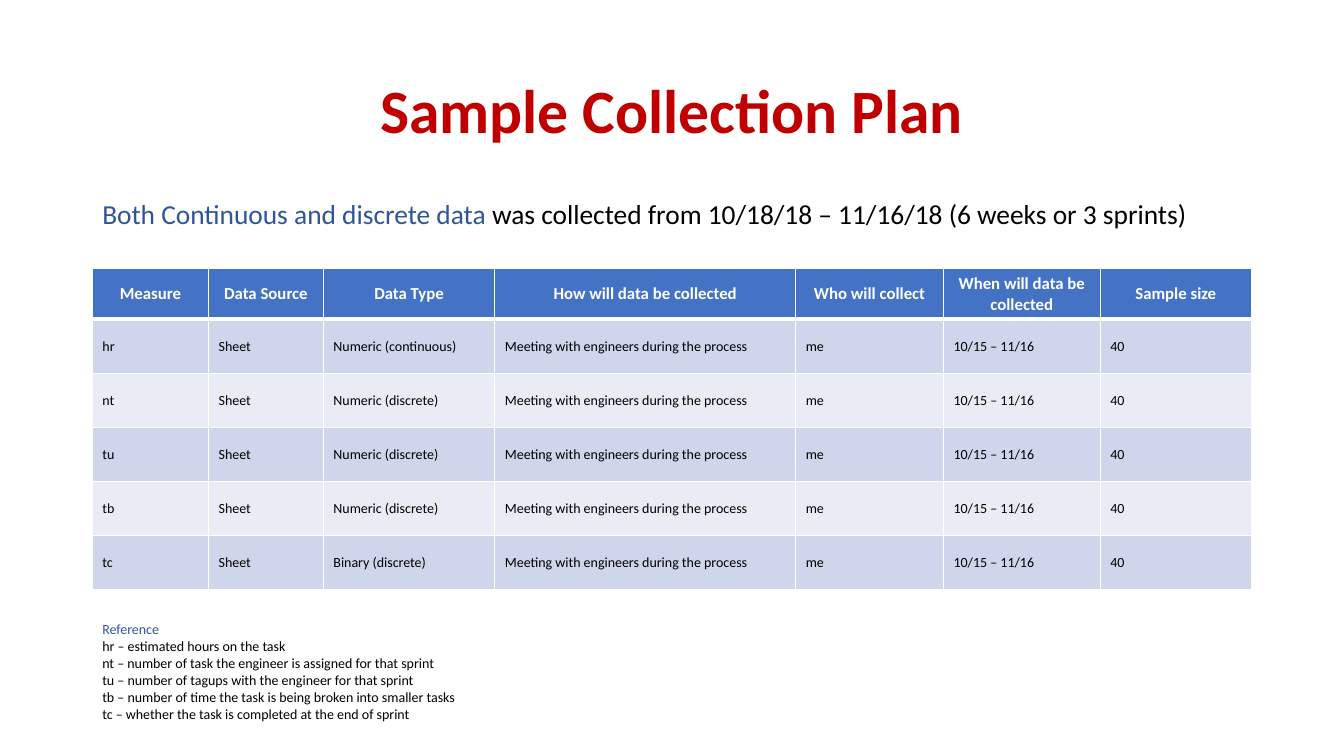
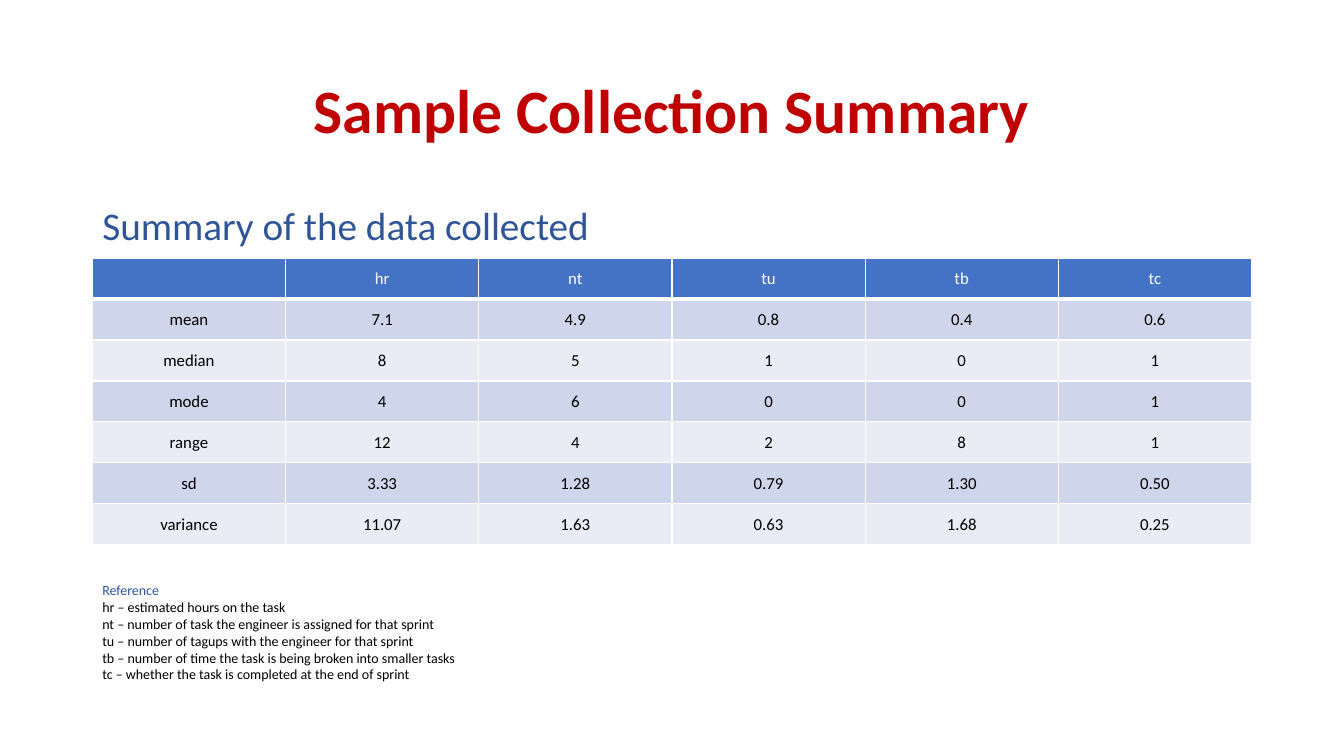
from dataclasses import dataclass

from lxml.etree import SubElement
from pptx import Presentation
from pptx.dml.color import RGBColor
from pptx.enum.text import MSO_ANCHOR as Anchor, PP_ALIGN as Align
from pptx.oxml.ns import qn
from pptx.util import Pt


@dataclass(frozen=True)
class Theme:
    font: str = "Calibri"
    title: str = "C00000"
    accent: str = "2F5597"
    ink: str = "000000"
    white: str = "FFFFFF"
    header: str = "4472C4"
    bands: tuple[str, str] = ("CFD5EA", "E9EBF5")
    title_size: float = 44
    header_size: float = 12
    small_size: float = 10
    border: float = 1
    header_border: float = 3


@dataclass(frozen=True)
class Lead:
    accent: str
    rest: str
    size: float
    spacing: float


@dataclass(frozen=True)
class TableSpec:
    top: float
    widths: list[float]
    header_height: float
    row_height: float
    rows: list[list[str]]
    header_bold: bool
    body_size: float
    body_align: Align
    margins: tuple[float, float, float, float]


@dataclass(frozen=True)
class SlideSpec:
    title: str
    lead: Lead
    table: TableSpec
    reference_top: float


THEME = Theme()
LEFT, WIDTH = 66, 828
MEASURES = {
    "hr": "estimated hours on the task",
    "nt": "number of task the engineer is assigned for that sprint",
    "tu": "number of tagups with the engineer for that sprint",
    "tb": "number of time the task is being broken into smaller tasks",
    "tc": "whether the task is completed at the end of sprint",
}
DATA_TYPES = ["Numeric (continuous)"] + ["Numeric (discrete)"] * 3 + ["Binary (discrete)"]

PLAN_ROWS = [
    ["Measure", "Data Source", "Data Type", "How will data be collected",
     "Who will collect", "When will data be collected", "Sample size"],
    *([code, "Sheet", data_type, "Meeting with engineers during the process",
       "me", "10/15 – 11/16", "40"]
      for code, data_type in zip(MEASURES, DATA_TYPES)),
]
SUMMARY_ROWS = [
    ["", *MEASURES],
    ["mean", "7.1", "4.9", "0.8", "0.4", "0.6"],
    ["median", "8", "5", "1", "0", "1"],
    ["mode", "4", "6", "0", "0", "1"],
    ["range", "12", "4", "2", "8", "1"],
    ["sd", "3.33", "1.28", "0.79", "1.30", "0.50"],
    ["variance", "11.07", "1.63", "0.63", "1.68", "0.25"],
]

SLIDES = [
    SlideSpec(
        "Sample Collection Plan",
        Lead("Both Continuous and discrete data ",
             "was collected from 10/18/18 – 11/16/18 (6 weeks or 3 sprints)", 19.6, 0.7),
        TableSpec(192, [83, 82, 122.5, 215, 105.5, 112, 108], 36, 38.6, PLAN_ROWS,
                  True, THEME.small_size, Align.LEFT, (7.2, 3.6, 7.2, 3.6)),
        440,
    ),
    SlideSpec(
        "Sample Collection Summary",
        Lead("Summary of the data collected", "", 28, 0.9),
        TableSpec(184.5, [WIDTH / 6] * 6, 29.2, 29.2, SUMMARY_ROWS,
                  False, THEME.header_size, Align.CENTER, (0.7, 0.7, 0.7, 0)),
        412,
    ),
]


def set_font(font, size: float, color: str, bold: bool = False) -> None:
    font.name = THEME.font
    font.size = Pt(size)
    font.bold = bold
    font.color.rgb = RGBColor.from_string(color)


def add_title(slide, text: str) -> None:
    sp = slide.shapes.title
    sp.left, sp.top, sp.width, sp.height = Pt(LEFT), Pt(29), Pt(WIDTH), Pt(104)
    tf = sp.text_frame
    tf.text = text
    tf.vertical_anchor = Anchor.MIDDLE
    p = tf.paragraphs[0]
    p.alignment = Align.CENTER
    p.line_spacing = 0.9
    set_font(p.font, THEME.title_size, THEME.title, True)


def add_text_frame(slide, top: float, width: float, height: float):
    tf = slide.shapes.add_textbox(Pt(LEFT), Pt(top), Pt(width), Pt(height)).text_frame
    tf.word_wrap = True
    return tf


def add_lead(slide, lead: Lead) -> None:
    p = add_text_frame(slide, 144, WIDTH, 37.5).paragraphs[0]
    p.line_spacing = lead.spacing
    p.space_before = Pt(10)
    for text, color in ((lead.accent, THEME.accent), (lead.rest, THEME.ink)):
        if text:
            r = p.add_run()
            r.text = text
            set_font(r.font, lead.size, color)


def add_reference(slide, top: float) -> None:
    tf = add_text_frame(slide, top, 332, 80)
    lines = [f"{code} – {meaning}" for code, meaning in MEASURES.items()]
    tf.text = "\n".join(["Reference", *lines])
    for i, p in enumerate(tf.paragraphs):
        set_font(p.font, THEME.small_size, THEME.ink if i else THEME.accent)


def set_borders(cell, row: int) -> None:
    tc_pr = cell._tc.get_or_add_tcPr()
    widths = {
        "a:lnL": THEME.border,
        "a:lnR": THEME.border,
        "a:lnT": THEME.header_border if row == 1 else THEME.border,
        "a:lnB": THEME.header_border if row == 0 else THEME.border,
    }
    for tag, width in widths.items():
        line = SubElement(tc_pr, qn(tag), w=str(Pt(width)))
        fill = SubElement(line, qn("a:solidFill"))
        SubElement(fill, qn("a:srgbClr"), val=THEME.white)


def format_cell(cell, text: str, row: int, spec: TableSpec) -> None:
    set_borders(cell, row)
    is_header = row == 0
    cell.fill.solid()
    cell.fill.fore_color.rgb = RGBColor.from_string(
        THEME.header if is_header else THEME.bands[(row - 1) % 2])
    cell.vertical_anchor = Anchor.MIDDLE
    cell.margin_left, cell.margin_top, cell.margin_right, cell.margin_bottom = map(Pt, spec.margins)
    cell.text = text
    p = cell.text_frame.paragraphs[0]
    p.alignment = Align.CENTER if is_header else spec.body_align
    if is_header:
        set_font(p.font, THEME.header_size, THEME.white, spec.header_bold)
    else:
        set_font(p.font, spec.body_size, THEME.ink)


def add_data_table(slide, spec: TableSpec) -> None:
    heights = [spec.header_height] + [spec.row_height] * (len(spec.rows) - 1)
    table = slide.shapes.add_table(
        len(heights), len(spec.widths), Pt(LEFT), Pt(spec.top), Pt(WIDTH), Pt(sum(heights))).table
    for column, width in zip(table.columns, spec.widths):
        column.width = Pt(width)
    for i, (height, texts) in enumerate(zip(heights, spec.rows)):
        table.rows[i].height = Pt(height)
        for j, text in enumerate(texts):
            format_cell(table.cell(i, j), text, i, spec)


def main() -> None:
    prs = Presentation()
    prs.slide_width, prs.slide_height = Pt(960), Pt(540)
    title_only = prs.slide_layouts.get_by_name("Title Only")
    for spec in SLIDES:
        slide = prs.slides.add_slide(title_only)
        add_title(slide, spec.title)
        add_lead(slide, spec.lead)
        add_data_table(slide, spec.table)
        add_reference(slide, spec.reference_top)
    prs.save("out.pptx")


if __name__ == "__main__":
    main()
